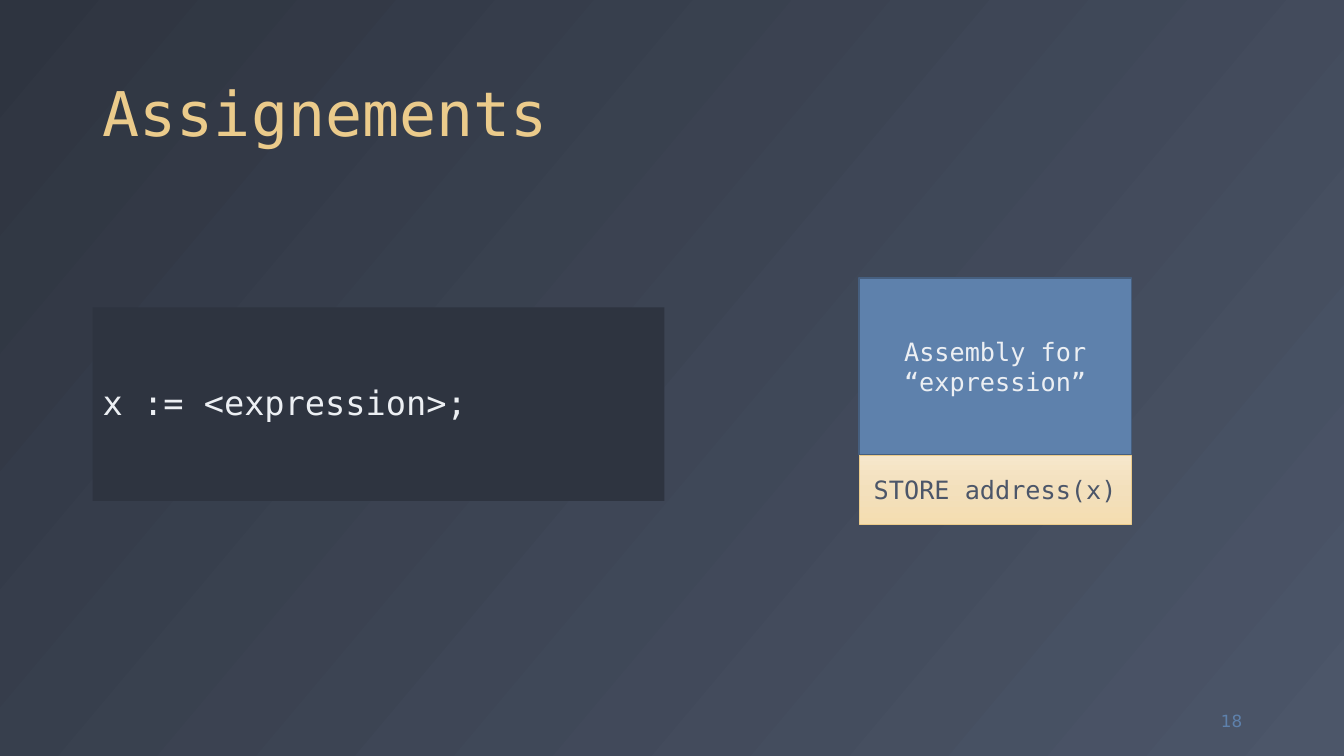
import copy
import pptx
import pptx.dml.color
import pptx.enum.shapes
import pptx.enum.text
import pptx.oxml.ns
import pptx.util

Inches = pptx.util.Inches
Pt = pptx.util.Pt
RGBColor = pptx.dml.color.RGBColor
ALIGN = pptx.enum.text.PP_ALIGN
ANCHOR = pptx.enum.text.MSO_ANCHOR
SHAPE = pptx.enum.shapes.MSO_SHAPE

NIGHT = RGBColor(0x2E, 0x34, 0x40)
SLATE = RGBColor(0x4C, 0x56, 0x69)
GOLD = RGBColor(0xEB, 0xCB, 0x8B)
SNOW = RGBColor(0xEC, 0xEF, 0xF3)
BLUE = RGBColor(0x5E, 0x81, 0xAC)
NAVY = RGBColor(0x46, 0x5F, 0x7F)
SAND = [RGBColor(0xF7, 0xE7, 0xCB), RGBColor(0xF3, 0xE0, 0xBC), RGBColor(0xF4, 0xDD, 0xB1)]
MONO = "DejaVu Sans Mono"
SANS = "DejaVu Sans"


def blend(fill, root, colors, angle):
    fill.gradient()
    fill.gradient_angle = angle
    stops = root.find(".//" + pptx.oxml.ns.qn("a:gsLst"))
    while len(stops) < len(colors):
        stops.append(copy.deepcopy(stops[-1]))
    for i, (stop, color) in enumerate(zip(fill.gradient_stops, colors)):
        stop.position = i / (len(colors) - 1)
        stop.color.rgb = color


def write(shape, text, size, color, font=MONO, align=ALIGN.LEFT, anchor=ANCHOR.MIDDLE, space=1.0):
    frame = shape.text_frame
    frame.word_wrap = True
    frame.vertical_anchor = anchor
    para = frame.paragraphs[0]
    para.alignment = align
    para.line_spacing = space
    run = para.add_run()
    run.text = text
    run.font.size = Pt(size)
    run.font.name = font
    run.font.color.rgb = color


def label(slide, box, *args, **style):
    shape = slide.shapes.add_textbox(*map(Inches, box))
    write(shape, *args, **style)


def block(slide, kind, box, colors, edge, width, *args, **style):
    shape = slide.shapes.add_shape(kind, *map(Inches, box))
    shape.shadow.inherit = False
    if len(colors) > 1:
        blend(shape.fill, shape.element, colors, 270)
    else:
        shape.fill.solid()
        shape.fill.fore_color.rgb = colors[0]
    if edge is None:
        shape.line.fill.background()
    else:
        shape.line.color.rgb = edge
        shape.line.width = Pt(width)
    write(shape, *args, **style)


def main():
    deck = pptx.Presentation()
    deck.slide_width = Inches(13.33)
    deck.slide_height = Inches(7.5)
    slide = deck.slides.add_slide(deck.slide_layouts[6])
    back = slide.background.fill
    blend(back, slide.element, [NIGHT, SLATE], 320)

    label(slide, (0.92, 0.18, 11.5, 1.36), "Assignements", 44, GOLD,
          anchor=ANCHOR.BOTTOM, space=0.9)
    block(slide, SHAPE.RECTANGLE, (0.92, 3.05, 5.67, 1.92), [NIGHT], None, 0,
          "x := <expression>;", 24, SNOW, space=0.9)
    label(slide, (11.59, 6.95, 0.83, 0.4), "18", 12, BLUE, font=SANS, align=ALIGN.RIGHT)

    step = SHAPE.FLOWCHART_PROCESS
    block(slide, step, (8.52, 2.76, 2.7, 1.75), [BLUE], NAVY, 1,
          "Assembly for “expression”", 18, SNOW, align=ALIGN.CENTER)
    block(slide, step, (8.52, 4.52, 2.7, 0.68), SAND, GOLD, 0.5,
          "STORE address(x)", 18, SLATE, align=ALIGN.CENTER)
    deck.save("out.pptx")


if __name__ == "__main__":
    main()
